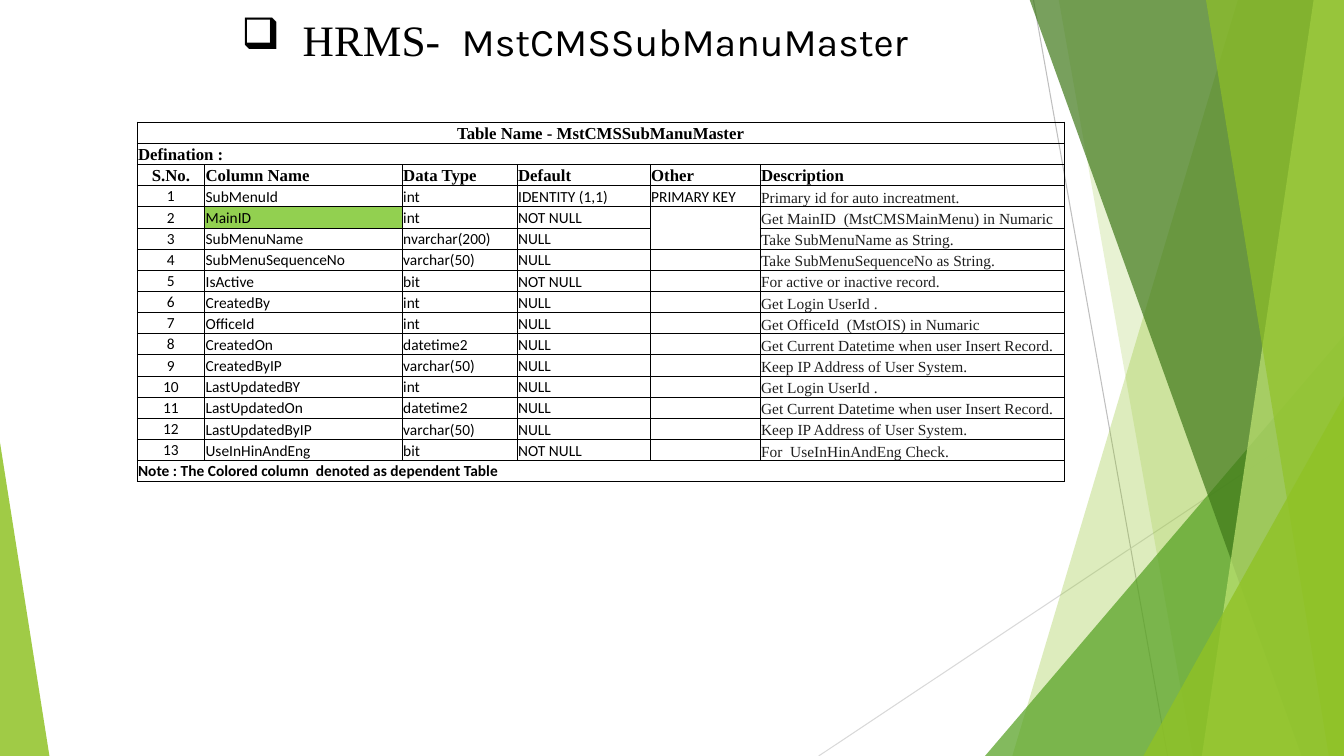
from lxml.etree import SubElement
from pptx import Presentation
from pptx.dml.color import RGBColor
from pptx.enum.shapes import MSO_CONNECTOR, MSO_SHAPE
from pptx.enum.text import MSO_ANCHOR, MSO_AUTO_SIZE, PP_ALIGN
from pptx.oxml.ns import qn
from pptx.util import Inches, Pt

COLORS = {
    "black": "000000",
    "ink": "1F1F1F",
    "dependent": "92D050",
    "lime": "90C226",
    "green": "54A021",
    "forest": "3F7819",
    "pale": "C0E474",
    "gray": "BFBFBF",
    "light_gray": "D9D9D9",
}
SERIF, SANS, DISPLAY = "Times New Roman", "Calibri", "Karla"
COLUMN_WIDTHS = [0.67, 1.96, 1.14, 1.32, 1.09, 3.02]
ROW_HEIGHT = 0.21
OTHER = 4
TABLE_TITLE = "Table Name - MstCMSSubManuMaster"
DEFINITION = "Defination :"
NOTE = "Note : The Colored column  denoted as dependent Table"
HEADINGS = ["S.No.", "Column Name", "Data Type", "Default", "Other", "Description"]
FIELDS = [
    ("SubMenuId", "int", "IDENTITY (1,1)", "PRIMARY KEY", "Primary id for auto increatment."),
    ("MainID", "int", "NOT NULL", "", "Get MainID  (MstCMSMainMenu) in Numaric"),
    ("SubMenuName", "nvarchar(200)", "NULL", "", "Take SubMenuName as String."),
    ("SubMenuSequenceNo", "varchar(50)", "NULL", "", "Take SubMenuSequenceNo as String."),
    ("IsActive", "bit", "NOT NULL", "", "For active or inactive record."),
    ("CreatedBy", "int", "NULL", "", "Get Login UserId ."),
    ("OfficeId", "int", "NULL", "", "Get OfficeId  (MstOIS) in Numaric"),
    ("CreatedOn", "datetime2", "NULL", "", "Get Current Datetime when user Insert Record."),
    ("CreatedByIP", "varchar(50)", "NULL", "", "Keep IP Address of User System."),
    ("LastUpdatedBY", "int", "NULL", "", "Get Login UserId ."),
    ("LastUpdatedOn", "datetime2", "NULL", "", "Get Current Datetime when user Insert Record."),
    ("LastUpdatedByIP", "varchar(50)", "NULL", "", "Keep IP Address of User System."),
    ("UseInHinAndEng", "bit", "NOT NULL", "", "For  UseInHinAndEng Check."),
]


def rgb(color):
    return RGBColor.from_string(COLORS[color])


def style_font(font, face, size, color="black", bold=False):
    font.name, font.size, font.bold = face, Pt(size), bold
    font.color.rgb = rgb(color)


def paint(facet, color, opacity):
    facet.shadow.inherit = False
    facet.line.fill.background()
    facet.fill.solid()
    facet.fill.fore_color.rgb = rgb(color)
    tint = facet.fill._xPr.find(qn("a:solidFill"))[0]
    SubElement(tint, qn("a:alpha"), val=str(opacity * 1000))


def add_ray(slide, start, end, color):
    ray = slide.shapes.add_connector(
        MSO_CONNECTOR.STRAIGHT, *(Inches(value) for value in start + end))
    ray.line.color.rgb = rgb(color)
    ray.line.width = Pt(0.75)
    SubElement(ray._element.spPr, qn("a:effectLst"))


def add_band(slide, top_left, bottom_left, color, opacity):
    corners = [(top_left, -0.01), (13.33, -0.01), (13.33, 7.5), (bottom_left, 7.5)]
    points = [(Inches(x), Inches(y)) for x, y in corners]
    outline = slide.shapes.build_freeform(*points[0])
    outline.add_line_segments(points[1:], close=True)
    paint(outline.convert_to_shape(), color, opacity)


def add_wedge(slide, left, top, width, apex, color, opacity):
    wedge = slide.shapes.add_shape(
        MSO_SHAPE.ISOSCELES_TRIANGLE,
        Inches(left), Inches(top), Inches(width), Inches(7.5 - top))
    wedge.adjustments[0] = apex
    paint(wedge, color, opacity)


def add_facets(slide):
    add_ray(slide, (10.25, 0), (11.58, 7.5), "gray")
    add_ray(slide, (13.33, 4.03), (8.12, 7.5), "light_gray")
    add_band(slide, 12.28, 10.04, "lime", 30)
    add_band(slide, 10.5, 11.83, "lime", 20)
    add_wedge(slide, 9.77, 3.33, 3.56, 1, "green", 72)
    add_band(slide, 10.21, 12.91, "forest", 70)
    add_band(slide, 13.03, 11.92, "pale", 70)
    add_band(slide, 11.96, 13.18, "lime", 65)
    add_wedge(slide, 11.34, 3.93, 1.99, 1, "lime", 80)
    add_wedge(slide, 0, 4.39, 0.49, 0, "lime", 85)


def add_heading(slide):
    heading = slide.shapes.add_textbox(Inches(1.56), Inches(0.08), Inches(8.28), Inches(0.62))
    frame = heading.text_frame
    frame.word_wrap = True
    frame.auto_size = MSO_AUTO_SIZE.SHAPE_TO_FIT_TEXT
    line = frame.paragraphs[0]
    line.alignment = PP_ALIGN.CENTER
    properties = line._p.get_or_add_pPr()
    properties.set("marL", str(Inches(0.5)))
    properties.set("indent", str(Inches(-0.5)))
    SubElement(properties, qn("a:buChar"), char="❑")
    for words, face, size in [(" HRMS-  ", SERIF, 31), ("MstCMSSubManuMaster", DISPLAY, 28)]:
        run = line.add_run()
        run.text = words
        style_font(run.font, face, size)


def set_borders(cell, open_side):
    properties = cell._tc.get_or_add_tcPr()
    for side in ("lnL", "lnR", "lnT", "lnB"):
        border = SubElement(properties, qn("a:" + side), w=str(Pt(0.5)))
        if side == open_side:
            SubElement(border, qn("a:noFill"))
        else:
            fill = SubElement(border, qn("a:solidFill"))
            SubElement(fill, qn("a:srgbClr"), val=COLORS["black"])


def format_cell(cell, open_side=None):
    cell.margin_left = cell.margin_right = cell.margin_top = Inches(0.01)
    cell.margin_bottom = 0
    set_borders(cell, open_side)
    cell.fill.background()
    SubElement(cell.text_frame.paragraphs[0]._p, qn("a:endParaRPr"), sz="1100")


def write_cell(cell, words, face, size, color="black", bold=False,
               align=PP_ALIGN.LEFT, anchor=MSO_ANCHOR.BOTTOM):
    cell.vertical_anchor = anchor
    line = cell.text_frame.paragraphs[0]
    line.alignment = align
    run = line.add_run()
    run.text = words
    style_font(run.font, face, size, color, bold)


def write_field(table, number, field):
    row = number + 2
    write_cell(table.cell(row, 0), str(number), SANS, 11,
               align=PP_ALIGN.CENTER, anchor=MSO_ANCHOR.MIDDLE)
    for column, words in enumerate(field[:-1], 1):
        if words:
            write_cell(table.cell(row, column), words, SANS, 11)
    write_cell(table.cell(row, 5), field[-1], SERIF, 11, "ink")


def add_schema_table(slide):
    row_count = len(FIELDS) + 4
    last = row_count - 1
    table = slide.shapes.add_table(
        row_count, len(COLUMN_WIDTHS), Inches(1.36), Inches(1.21),
        Inches(sum(COLUMN_WIDTHS)), Inches(row_count * ROW_HEIGHT)).table
    table.first_row = table.horz_banding = False
    for column, width in zip(table.columns, COLUMN_WIDTHS):
        column.width = Inches(width)
    open_sides = {(4, OTHER): "lnB", (5, OTHER): "lnT"}
    for row in range(row_count):
        table.rows[row].height = Inches(ROW_HEIGHT)
        for column in range(len(COLUMN_WIDTHS)):
            format_cell(table.cell(row, column), open_sides.get((row, column)))
    for row in (0, 1, last):
        table.cell(row, 0).merge(table.cell(row, 5))

    write_cell(table.cell(0, 0), TABLE_TITLE, SERIF, 12, bold=True, align=PP_ALIGN.CENTER)
    write_cell(table.cell(1, 0), DEFINITION, SERIF, 12, bold=True)
    write_cell(table.cell(2, 0), HEADINGS[0], SERIF, 12, bold=True,
               align=PP_ALIGN.CENTER, anchor=MSO_ANCHOR.MIDDLE)
    for column, words in enumerate(HEADINGS[1:], 1):
        write_cell(table.cell(2, column), words, SERIF, 12, bold=True)
    for number, field in enumerate(FIELDS, 1):
        write_field(table, number, field)
    write_cell(table.cell(last, 0), NOTE, SANS, 11, bold=True, anchor=MSO_ANCHOR.MIDDLE)

    dependent = table.cell(4, 1)
    dependent.fill.solid()
    dependent.fill.fore_color.rgb = rgb("dependent")


def main():
    deck = Presentation()
    deck.slide_width, deck.slide_height = Inches(13.33), Inches(7.5)
    slide = deck.slides.add_slide(deck.slide_layouts[6])
    add_facets(slide)
    add_heading(slide)
    add_schema_table(slide)
    deck.save("out.pptx")


if __name__ == "__main__":
    main()
